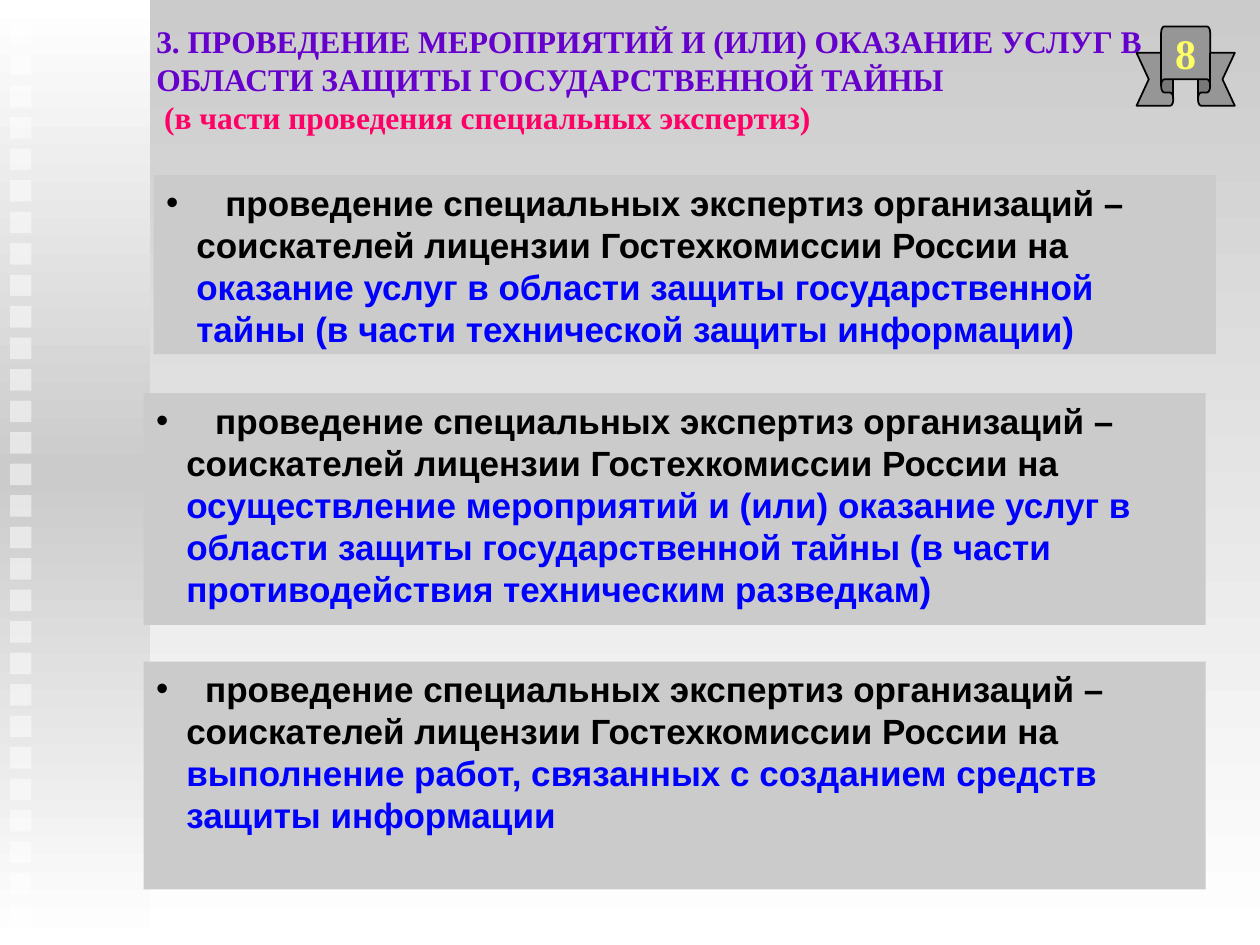
from dataclasses import dataclass

from lxml import etree
from pptx import Presentation
from pptx.dml.color import RGBColor
from pptx.enum import shapes, text
from pptx.oxml.ns import qn
from pptx.util import Inches, Pt

GREY, WHITE, BLACK, BLUE = "CBCBCB", "FFFFFF", "000000", "0000FF"
HANG = 0.24


@dataclass
class Panel:
    left: float
    top: float
    height: float
    tab: float
    lead: str
    accent: str


PANELS = [
    Panel(1.22, 1.39, 1.42, 0.47,
          "проведение специальных экспертиз организаций – соискателей лицензии Гостехкомиссии России на ",
          "оказание услуг в области защиты государственной тайны (в части технической защиты информации)"),
    Panel(1.14, 3.12, 1.84, 0.47,
          "проведение специальных экспертиз организаций – соискателей лицензии Гостехкомиссии России на ",
          "осуществление мероприятий и (или) оказание услуг в области защиты государственной тайны "
          "(в части противодействия техническим разведкам)"),
    Panel(1.14, 5.25, 1.81, 0.39,
          "проведение специальных экспертиз организаций – соискателей лицензии Гостехкомиссии России на ",
          "выполнение работ, связанных с созданием средств защиты информации"),
]


def rgb(color: str) -> RGBColor:
    return RGBColor.from_string(color)


def fill_gradient(fill, stops: list[tuple[int, str]]) -> None:
    """Fill from top to bottom with (percent, colour) stops."""
    fill.gradient()
    fill.gradient_angle = 270
    stop_list = fill._xPr.find(qn("a:gradFill")).find(qn("a:gsLst"))
    for old in list(stop_list):
        stop_list.remove(old)
    for percent, color in stops:
        gs = etree.SubElement(stop_list, qn("a:gs"), pos=str(percent * 1000))
        etree.SubElement(gs, qn("a:srgbClr"), val=color)


def add_shape(s, kind, left: float, top: float, width: float, height: float, color: str = GREY):
    sp = s.shapes.add_shape(kind, Inches(left), Inches(top), Inches(width), Inches(height))
    sp.shadow.inherit = False
    sp.fill.solid()
    sp.fill.fore_color.rgb = rgb(color)
    sp.line.fill.background()
    return sp


def add_text(p, words: str, *, size: float, color: str, font: str = "Arial") -> None:
    r = p.add_run()
    r.text = words
    r.font.name = font
    r.font.size = Pt(size)
    r.font.bold = True
    r.font.color.rgb = rgb(color)


def set_bullet(p, tab: float) -> None:
    """Hang a black bullet and set the tab stop where the first line starts."""
    props = p._p.get_or_add_pPr()
    props.set("marL", str(Inches(HANG)))
    props.set("indent", str(-Inches(HANG)))
    color = etree.SubElement(props, qn("a:buClr"))
    etree.SubElement(color, qn("a:srgbClr"), val=BLACK)
    etree.SubElement(props, qn("a:buFont"), typeface="Arial")
    etree.SubElement(props, qn("a:buChar"), char="•")
    tabs = etree.SubElement(props, qn("a:tabLst"))
    etree.SubElement(tabs, qn("a:tab"), pos=str(Inches(tab)), algn="l")


def draw_side_band(s) -> None:
    band = add_shape(s, shapes.MSO_SHAPE.RECTANGLE, 0, 0, 1.19, 7.5)
    fill_gradient(band.fill, [(0, WHITE), (50, GREY), (100, WHITE)])
    for i in range(29):
        square = add_shape(s, shapes.MSO_SHAPE.RECTANGLE, 0.08, 0.18 + 0.25 * i, 0.17, 0.17, WHITE)
        color = square.fill._xPr.find(qn("a:solidFill"))[0]
        etree.SubElement(color, qn("a:alpha"), val="50000")


def draw_title(s) -> None:
    title = s.shapes.title
    title.left, title.top, title.width, title.height = map(Inches, (1.14, 0, 8.03, 1.25))
    tf = title.text_frame
    tf.word_wrap = True
    tf.auto_size = text.MSO_AUTO_SIZE.NONE
    tf.vertical_anchor = text.MSO_ANCHOR.MIDDLE
    p = tf.paragraphs[0]
    p.alignment = text.PP_ALIGN.LEFT
    style = dict(size=18, font="Times New Roman")
    add_text(p, "3. ПРОВЕДЕНИЕ МЕРОПРИЯТИЙ И (ИЛИ) ОКАЗАНИЕ УСЛУГ В ОБЛАСТИ ЗАЩИТЫ ГОСУДАРСТВЕННОЙ ТАЙНЫ",
             color="6600CC", **style)
    p.add_line_break()
    add_text(p, " (в части проведения специальных экспертиз)", color="FF0066", **style)


def draw_panel(s, panel: Panel) -> None:
    sp = add_shape(s, shapes.MSO_SHAPE.RECTANGLE, panel.left, panel.top, 8.43, panel.height)
    tf = sp.text_frame
    tf.word_wrap = True
    tf.vertical_anchor = text.MSO_ANCHOR.TOP
    p = tf.paragraphs[0]
    p.alignment = text.PP_ALIGN.LEFT
    set_bullet(p, panel.tab)
    add_text(p, "\t" + panel.lead, size=20, color=BLACK)
    add_text(p, panel.accent, size=20, color=BLUE)


def draw_number_ribbon(s) -> None:
    ribbon = add_shape(s, shapes.MSO_SHAPE.UP_RIBBON, 9.02, 0.21, 0.78, 0.63, "969696")
    ribbon.adjustments[0] = 0.33333
    ribbon.adjustments[1] = 0.5
    ribbon.line.color.rgb = rgb(BLACK)
    ribbon.line.width = Pt(1)
    tf = ribbon.text_frame
    tf.word_wrap = False
    tf.vertical_anchor = text.MSO_ANCHOR.MIDDLE
    p = tf.paragraphs[0]
    p.alignment = text.PP_ALIGN.CENTER
    add_text(p, "8", size=24, color="FFFF66", font="Times New Roman")


def main() -> None:
    prs = Presentation()
    prs.slide_width, prs.slide_height = Inches(10), Inches(7.5)
    s = prs.slides.add_slide(prs.slide_layouts[5])
    fill_gradient(s.background.fill, [(0, GREY), (100, WHITE)])
    draw_side_band(s)
    draw_title(s)
    for panel in PANELS:
        draw_panel(s, panel)
    draw_number_ribbon(s)
    prs.save("out.pptx")


if __name__ == "__main__":
    main()
